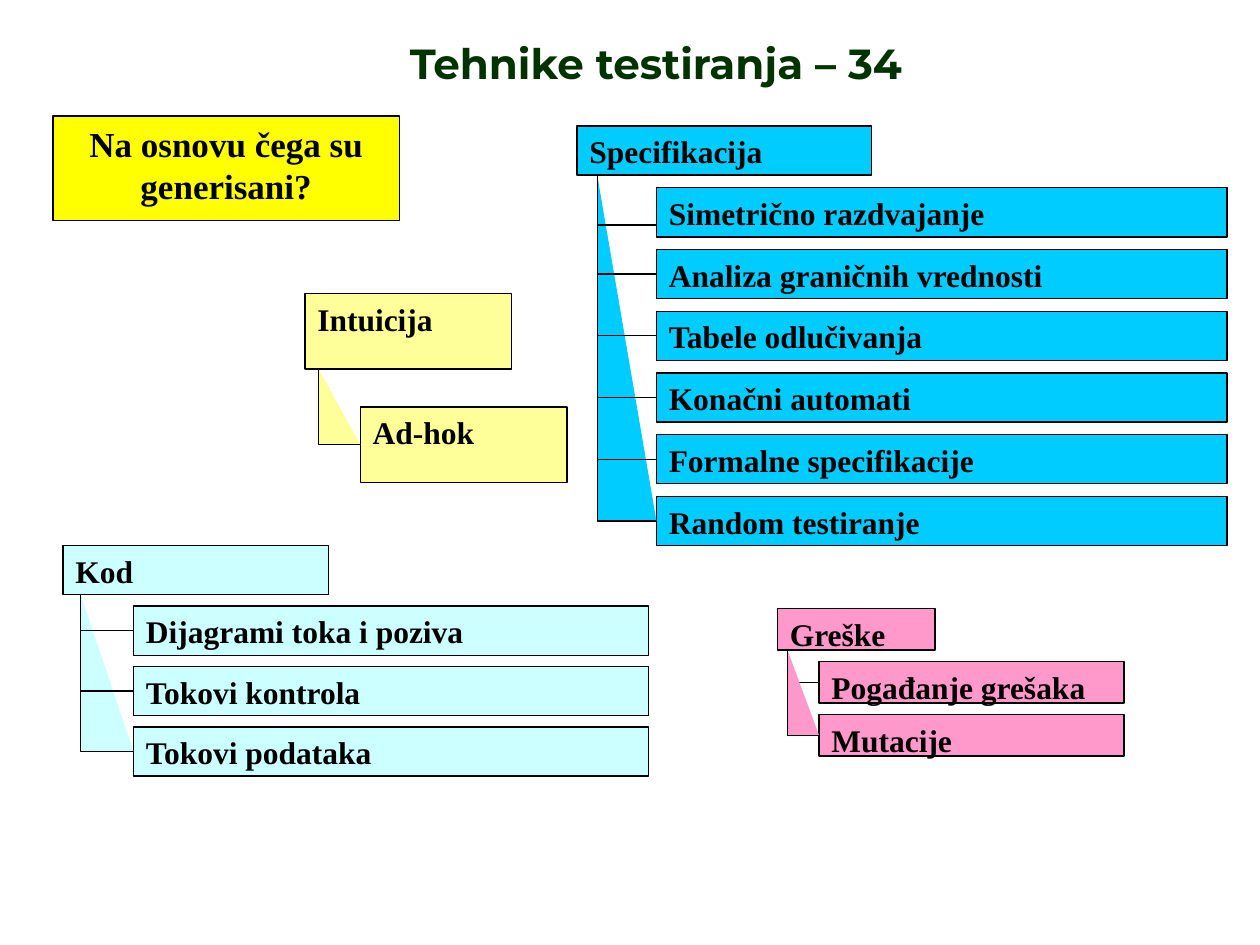
"""Build a slide that sorts testing techniques by the basis of their test cases."""
from lxml import etree
from pptx import Presentation
from pptx.dml.color import RGBColor
from pptx.enum.shapes import MSO_CONNECTOR as Connector, MSO_SHAPE as Shape
from pptx.enum.text import MSO_ANCHOR as Anchor, MSO_AUTO_SIZE as AutoSize, PP_ALIGN as Align
from pptx.oxml.ns import qn
from pptx.util import Inches, Pt


def color(value):
    return RGBColor.from_string(value)


def add_box(shapes, text, bounds, fill, size=18, align=Align.LEFT):
    box = shapes.add_shape(Shape.RECTANGLE, *map(Inches, bounds))
    box.shadow.inherit = False
    box.fill.solid()
    box.fill.fore_color.rgb = color(fill)
    box.line.color.rgb = color("000000")
    box.line.width = Pt(0.74)
    frame = box.text_frame
    frame.word_wrap = True
    frame.vertical_anchor = Anchor.TOP
    paragraph = frame.paragraphs[0]
    paragraph.text = text
    paragraph.alignment = align
    font = paragraph.runs[0].font
    for name, value in dict(name="Times New Roman", size=Pt(size), bold=True).items():
        setattr(font, name, value)
    font.color.rgb = color("000000")


presentation = Presentation()
presentation.slide_width, presentation.slide_height = Inches(10), Inches(7.5)
slide = presentation.slides.add_slide(presentation.slide_layouts[5])

title = slide.shapes.title
title.left, title.top, title.width, title.height = map(Inches, (1.08, 0.25, 8.25, 0.5))
title.text_frame.text = "Tehnike testiranja – 34"
title.text_frame.vertical_anchor = Anchor.BOTTOM
title.text_frame.auto_size = AutoSize.SHAPE_TO_FIT_TEXT
heading = title.text_frame.paragraphs[0]
heading.alignment = Align.CENTER
heading_font = heading.runs[0].font
for name, value in dict(name="Montserrat", size=Pt(24), bold=True).items():
    setattr(heading_font, name, value)
heading_font.color.rgb = color("003300")

add_box(slide.shapes, "Na osnovu čega su generisani?", (0.42, 0.92, 2.75, 0.83),
        "FFFF00", 20, Align.CENTER)

families = [
    dict(root="Intuicija", left=2.42, top=2.33, width=1.64, height=0.6, pitch=0.9,
         trunk=2.53, child_left=2.86, child_width=1.64, fill="FFFF99",
         children=["Ad-hok"]),
    dict(root="Specifikacija", left=4.58, top=1, width=2.34, height=0.39, pitch=0.49,
         trunk=4.74, child_left=5.21, child_width=4.53, fill="00CCFF", first_shift=0.1,
         children=["Simetrično razdvajanje", "Analiza graničnih vrednosti",
                   "Tabele odlučivanja", "Konačni automati",
                   "Formalne specifikacije", "Random testiranje"]),
    dict(root="Kod", left=0.5, top=4.33, width=2.11, height=0.39, pitch=0.48,
         trunk=0.64, child_left=1.06, child_width=4.09, fill="CCFFFF",
         children=["Dijagrami toka i poziva", "Tokovi kontrola", "Tokovi podataka"]),
    dict(root="Greške", left=6.17, top=4.83, width=1.25, height=0.33, pitch=0.42,
         trunk=6.25, child_left=6.5, child_width=2.42, fill="FF99CC",
         order=("branches", "elbow"), children=["Pogađanje grešaka", "Mutacije"]),
]

for family in families:
    shapes = slide.shapes.add_group_shape().shapes
    top, height, fill = family["top"], family["height"], family["fill"]
    trunk, child_left = family["trunk"], family["child_left"]
    add_box(shapes, family["root"], (family["left"], top, family["width"], height), fill)

    middles = []
    for row, child in enumerate(family["children"], 1):
        child_top = top + row * family["pitch"]
        add_box(shapes, child, (child_left, child_top, family["child_width"], height), fill)
        middles.append(child_top + height / 2)
    last_middle = middles.pop()
    if middles:
        middles[0] += family.get("first_shift", 0)

    for part in family.get("order", ("elbow", "branches")):
        if part == "elbow":
            builder = shapes.build_freeform(Inches(trunk), Inches(top + height))
            builder.add_line_segments([(Inches(trunk), Inches(last_middle)),
                                       (Inches(child_left), Inches(last_middle))], close=False)
            elbow = builder.convert_to_shape()
            elbow.shadow.inherit = False
            elbow.fill.solid()
            elbow.fill.fore_color.rgb = color(fill)
            lines = [elbow]
        else:
            lines = []
            for middle in middles:
                branch = shapes.add_connector(
                    Connector.STRAIGHT, *map(Inches, (trunk, middle, child_left, middle)))
                lines.append(branch)
        for shape in lines:
            shape.line.color.rgb = color("000000")
            shape.line.width = Pt(0.74)
            if part == "branches":
                etree.SubElement(shape.element.spPr, qn("a:effectLst"))

presentation.save("out.pptx")
